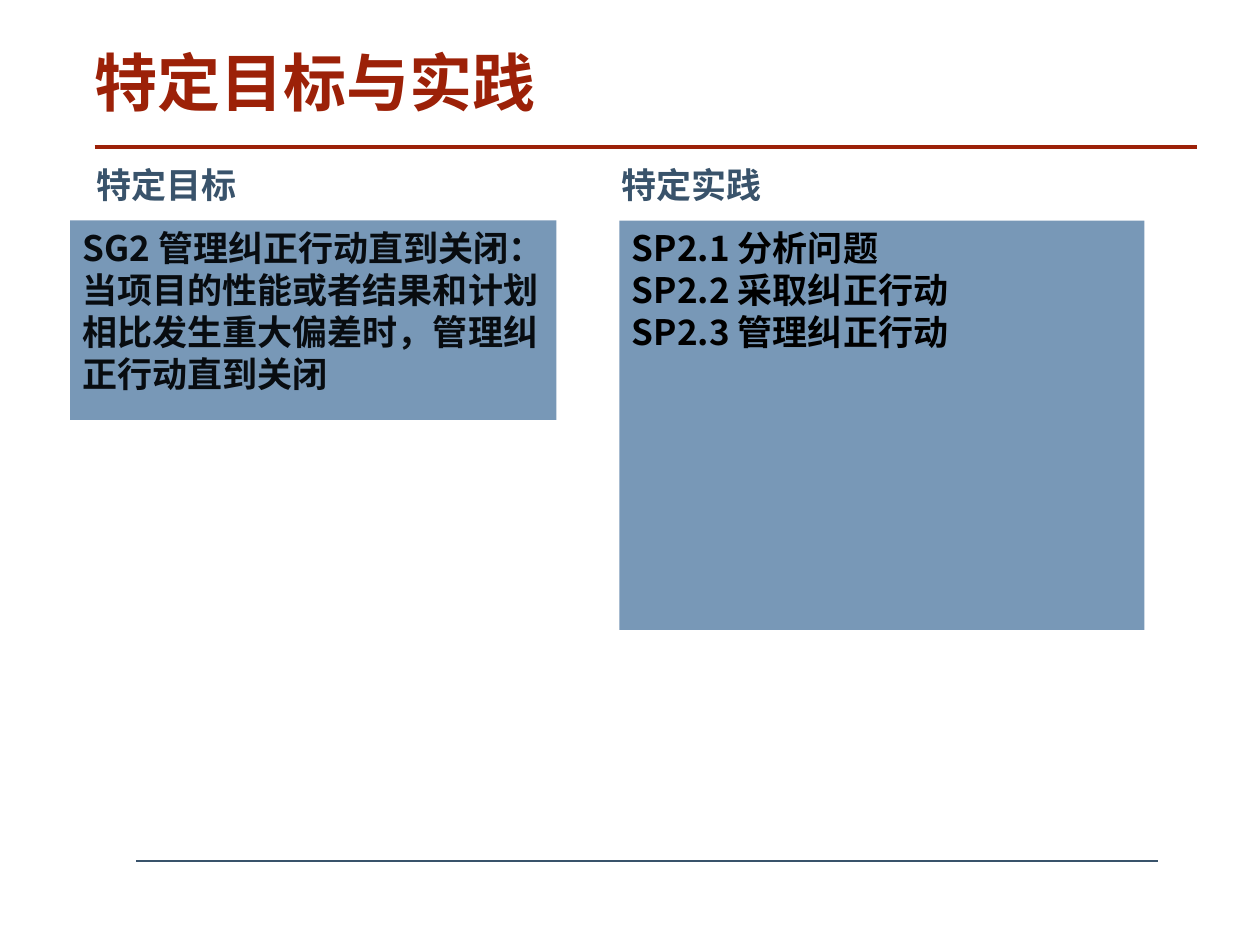
"""Builds the slide on specific goals and specific practices."""
from dataclasses import dataclass

from lxml import etree
from pptx import Presentation
from pptx.dml.color import RGBColor
from pptx.enum.shapes import MSO_CONNECTOR, MSO_SHAPE
from pptx.enum.text import MSO_ANCHOR, MSO_AUTO_SIZE, PP_ALIGN
from pptx.oxml.ns import qn
from pptx.util import Inches, Pt

STRAIGHT = MSO_CONNECTOR.STRAIGHT
RECTANGLE = MSO_SHAPE.RECTANGLE
TOP = MSO_ANCHOR.TOP
LEFT = PP_ALIGN.LEFT
GROW = MSO_AUTO_SIZE.SHAPE_TO_FIT_TEXT
FIXED = MSO_AUTO_SIZE.NONE
TITLE_ONLY = 5
FONT = "Noto Sans CJK SC"
WIDTH, HEIGHT = Inches(10), Inches(7.5)
GRID_COLUMNS = 120
CELL = WIDTH / GRID_COLUMNS
HEADING_ROW, HEADING_ROWS, PANEL_ROW = 15, 5.2, 21
BODY_SIZE, BODY_LEADING = 20, Pt(24)
COLORS = {"red": "9C2108", "slate": "39536B", "panel": "7898B7",
          "ink": "080C10", "black": "000000"}


@dataclass(frozen=True)
class Area:
    """A rectangle in columns and rows of the square grid."""
    column: float
    row: float
    columns: float
    rows: float

    def lengths(self) -> tuple[int, ...]:
        """Return left, top, width and height as slide lengths."""
        return tuple(round(cells * CELL)
                     for cells in (self.column, self.row, self.columns, self.rows))


@dataclass(frozen=True)
class Rule:
    """A horizontal line between two grid columns."""
    start: float
    end: float
    row: float
    color: str
    points: float


@dataclass(frozen=True)
class Topic:
    """A heading with a filled panel of items below it."""
    heading: str
    heading_column: float
    heading_columns: float
    panel: Area
    color: str
    items: tuple[str, ...]


RULES = (Rule(13, 110.25, 82, "slate", 1), Rule(9, 114, 14, "red", 2.25))
TOPICS = (
    Topic("特定目标", 8, 45, Area(6.67, PANEL_ROW, 46.33, 19), "ink",
          ("SG2 管理纠正行动直到关闭：当项目的性能或者结果和计划相比发生重大偏差时，管理纠正行动直到关闭",)),
    Topic("特定实践", 58, 52, Area(59, PANEL_ROW, 50, 39), "black",
          ("SP2.1 分析问题", "SP2.2 采取纠正行动", "SP2.3 管理纠正行动")),
)


def rgb(name: str) -> RGBColor:
    """Look up a named colour."""
    return RGBColor.from_string(COLORS[name])


def format_para(para, size: float, color: str, spacing: float) -> None:
    """Set a paragraph flush left in the slide's bold font without hanging punctuation."""
    para.alignment = LEFT
    para.line_spacing = spacing
    para._p.get_or_add_pPr().set("hangingPunct", "0")
    for span in para.runs:
        span.font.name = FONT
        span.font.size = Pt(size)
        span.font.bold = True
        span.font.color.rgb = rgb(color)
        east_asian = etree.SubElement(span.font._element, qn("a:ea"))
        east_asian.set("typeface", FONT)


def draw_rule(page, rule: Rule) -> None:
    """Draw a horizontal line without a shadow."""
    left, top, width, _ = Area(rule.start, rule.row, rule.end - rule.start, 0).lengths()
    line = page.shapes.add_connector(STRAIGHT, left, top, left + width, top)
    line.line.color.rgb = rgb(rule.color)
    line.line.width = Pt(rule.points)
    etree.SubElement(line._element.spPr, qn("a:effectLst"))


def set_title(page, text: str) -> None:
    """Fill and format the title placeholder."""
    title = page.shapes.title
    title.left, title.top, title.width, title.height = Area(9, 5, 105, 7.33).lengths()
    frame = title.text_frame
    frame.text = text
    frame.vertical_anchor = TOP
    frame.auto_size = FIXED
    frame.margin_left = frame.margin_top = frame.margin_right = frame.margin_bottom = 0
    format_para(frame.paragraphs[0], 36, "red", 0.89)


def draw_heading(page, topic: Topic) -> None:
    """Draw the heading above a panel."""
    area = Area(topic.heading_column, HEADING_ROW, topic.heading_columns, HEADING_ROWS)
    frame = page.shapes.add_textbox(*area.lengths()).text_frame
    frame.word_wrap = True
    frame.auto_size = GROW
    frame.text = topic.heading
    format_para(frame.paragraphs[0], BODY_SIZE, "slate", BODY_LEADING)


def draw_panel(page, topic: Topic) -> None:
    """Draw a filled panel with one paragraph for each item."""
    panel = page.shapes.add_shape(RECTANGLE, *topic.panel.lengths())
    panel.shadow.inherit = False
    panel.fill.solid()
    panel.fill.fore_color.rgb = rgb("panel")
    panel.line.fill.background()
    frame = panel.text_frame
    frame.word_wrap = True
    frame.vertical_anchor = TOP
    frame.text = "\n".join(topic.items)
    for para in frame.paragraphs:
        format_para(para, BODY_SIZE, topic.color, BODY_LEADING)


def main() -> None:
    """Build and save the deck."""
    deck = Presentation()
    deck.slide_width, deck.slide_height = WIDTH, HEIGHT
    page = deck.slides.add_slide(deck.slide_layouts[TITLE_ONLY])
    for rule in RULES:
        draw_rule(page, rule)
    set_title(page, "特定目标与实践")
    for topic in TOPICS:
        draw_heading(page, topic)
        draw_panel(page, topic)
    deck.save("out.pptx")


if __name__ == "__main__":
    main()
